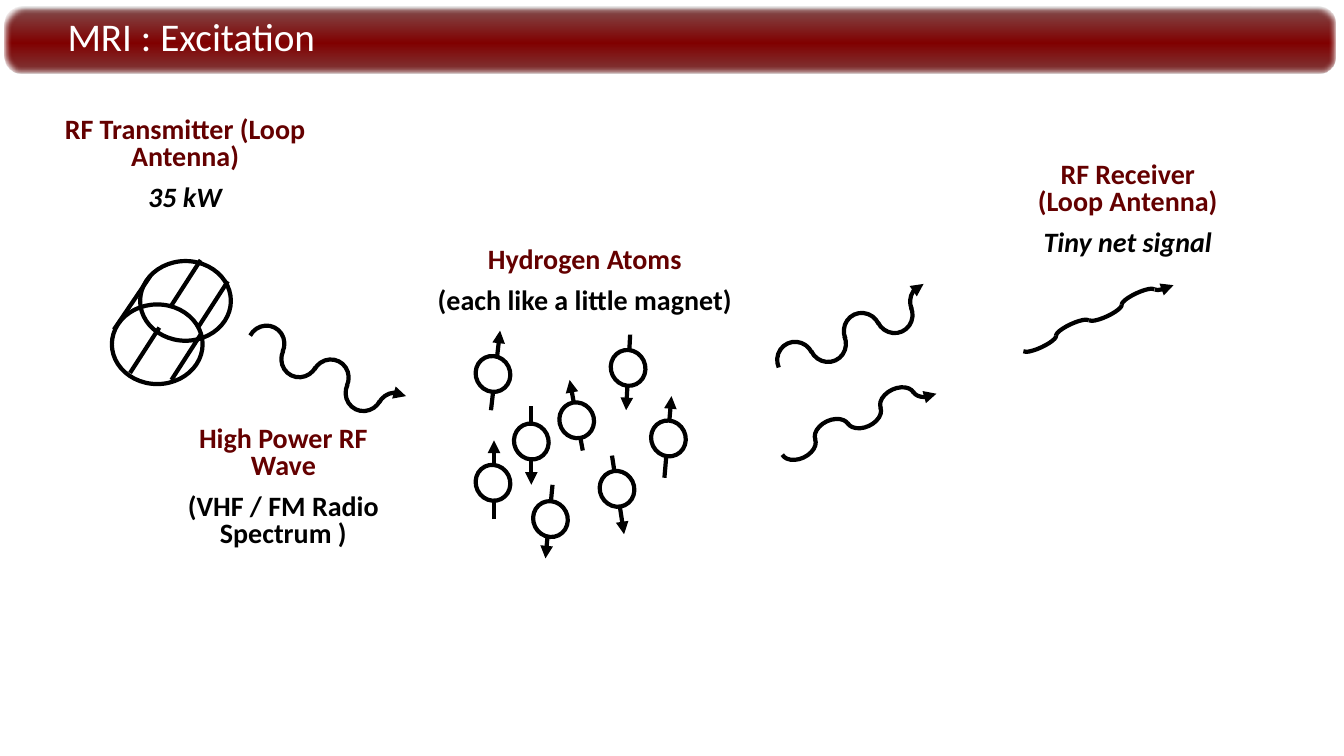
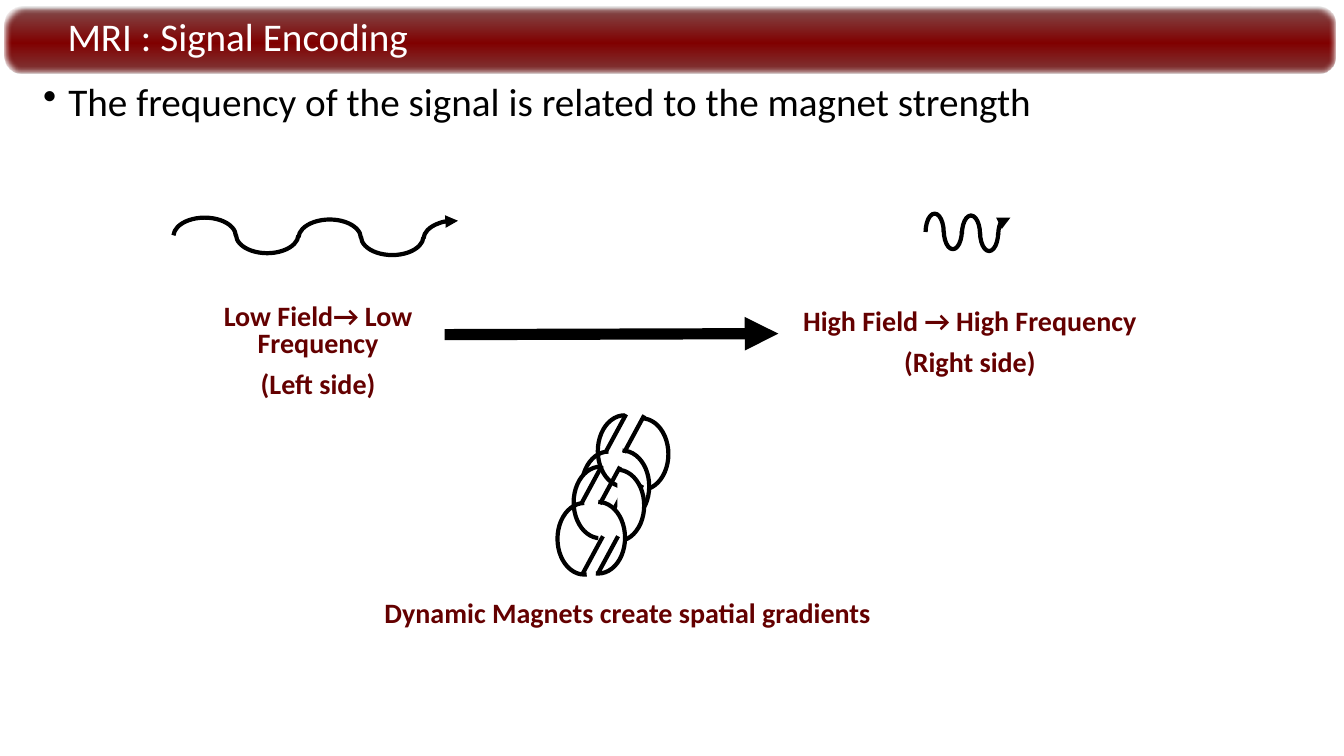
from math import cos, radians, sin

from lxml import etree
from pptx import Presentation
from pptx.dml.color import RGBColor
from pptx.enum import shapes, text
from pptx.oxml import ns, parse_xml
from pptx.util import Inches, Pt

FONT = "Calibri"
BLACK, WHITE, MAROON = "000000", "FFFFFF", "640000"
# position %, colour, opacity %
BAND_STOPS = [(0, "808080", 50), (5, "814949", 100), (54, "800000", 100),
              (96, "7F3838", 100), (100, "7F6060", 100), (100, "808080", 50)]
ARC_START, ARC_END, LAST_ARC_END = 181.76, 359.3, 279.88


def rgb(value):
    return RGBColor.from_string(value)


def add_xml(parent, tag, **attributes):
    return etree.SubElement(parent, ns.qn(tag), attributes)


def style_line(sp, width=3, arrow=False):
    sp.line.width = Pt(width)
    sp.line.color.rgb = rgb(BLACK)
    if arrow:
        add_xml(sp.line._get_or_add_ln(), "a:tailEnd", type="triangle")


def add_line(s, x1, y1, x2, y2, width=3, arrow=False):
    line = s.shapes.add_connector(shapes.MSO_CONNECTOR.STRAIGHT,
                                  *map(Inches, (x1, y1, x2, y2)))
    style_line(line, width, arrow)
    add_xml(line._element.spPr, "a:effectLst")


def add_outline(s, kind, x, y, w, h, fill=None, arrow=False):
    sp = s.shapes.add_shape(kind, *map(Inches, (x, y, w, h)))
    sp.shadow.inherit = False
    if fill:
        sp.fill.solid()
        sp.fill.fore_color.rgb = rgb(fill)
    else:
        sp.fill.background()
    style_line(sp, arrow=arrow)
    return sp


def add_arc(s, x, y, w, h, start, end, **options):
    """Draw an arc clockwise between two angles in degrees."""
    sp = add_outline(s, shapes.MSO_SHAPE.ARC, x, y, w, h, **options)
    for i, angle in enumerate((start, end)):
        sp.adjustments[i] = angle * 0.6
    return sp


def add_text(s, x, y, w, h, lines, size, spacing, bold=False, align=None):
    """Add a text box; each line is (text, colour, italic)."""
    box = s.shapes.add_textbox(*map(Inches, (x, y, w, h)))
    tf = box.text_frame
    tf.word_wrap = True
    for i, (words, color, italic) in enumerate(lines):
        p = tf.add_paragraph() if i else tf.paragraphs[0]
        p.text = words
        p.alignment = align
        p.line_spacing = spacing
        p.space_before = Pt(10)
        p.font.name, p.font.size = FONT, Pt(size)
        p.font.bold, p.font.italic = bold, italic
        p.font.color.rgb = rgb(color)
    return tf


def add_caption(s, x, y, w, h, heading, detail=None, color=BLACK, italic=False):
    lines = [(heading, MAROON, False)]
    if detail:
        lines.append((detail, color, italic))
    add_text(s, x, y, w, h, lines, 20, 0.8, bold=True,
             align=text.PP_ALIGN.CENTER)


def add_band(s, x, y, w, h):
    band = s.shapes.add_shape(shapes.MSO_SHAPE.ROUNDED_RECTANGLE,
                              *map(Inches, (x, y, w, h)))
    band.adjustments[0] = 0.27
    band.line.fill.background()
    band.shadow.inherit = False
    spPr = band._element.spPr
    add_xml(spPr.find(ns.qn("a:effectLst")), "a:softEdge", rad=str(Pt(2.5)))
    grad = parse_xml(f"<a:gradFill {ns.nsdecls('a')}/>")
    stops = add_xml(grad, "a:gsLst")
    for position, color, opacity in BAND_STOPS:
        stop = add_xml(stops, "a:gs", pos=str(position * 1000))
        clr = add_xml(stop, "a:srgbClr", val=color)
        if opacity < 100:
            add_xml(clr, "a:alpha", val=str(opacity * 1000))
    add_xml(grad, "a:lin", ang=str(90 * 60000), scaled="0")
    spPr.find(ns.qn("a:prstGeom")).addnext(grad)


def new_slide(prs, title):
    s = prs.slides.add_slide(prs.slide_layouts[6])
    add_band(s, 0.05, 0.07, 13.2, 0.66)
    tf = add_text(s, 0.67, 0.11, 12.43, 0.55, [(title, WHITE, False)], 28, 0.9)
    tf.vertical_anchor = text.MSO_ANCHOR.MIDDLE
    tf.margin_left = tf.margin_right = tf.margin_top = tf.margin_bottom = 0
    return s


def add_wave(s, x, y, w, h, angle=0, flip=False):
    """Chain five half-wave arcs along an angle, ending in an arrowhead."""
    turn = radians(angle)
    for i, sag in enumerate((0, -1, 1, 0, 1.6)):
        drop = sag * h * 0.05 * (-1 if flip else 1)
        last = i == 4
        arc = add_arc(s, x + i * w * cos(turn) - drop * sin(turn),
                      y + i * w * sin(turn) + drop * cos(turn), w, h,
                      ARC_START, LAST_ARC_END if last else ARC_END, arrow=last)
        arc.rotation = (angle + 180 * (i % 2)) % 360
        if flip:
            arc._element.spPr.find(ns.qn("a:xfrm")).set("flipV", "1")


def add_loop_antenna(s, x, y):
    for dx, dy in ((0.28, 0.01), (0, 0.44)):
        add_outline(s, shapes.MSO_SHAPE.OVAL, x + dx, y + dy, 0.9, 0.79)
    add_line(s, x + 0.02, y + 0.69, x + 0.38, y + 0.16)
    for dx, dy in ((0.18, 1.12), (0.59, 0.45), (0.86, 0.66), (0.59, 1.19)):
        add_line(s, x + dx, y + dy, x + dx + 0.29, y + dy - 0.45)


def add_atoms(s, x, y):
    """Scatter spinning atoms: spin from and to, then the atom's corner."""
    atoms = [
        (0.15, 0.79, 0.24, 0, 0, 0.25),
        (0.18, 1.87, 0.18, 1.09, 0, 1.33),
        (1.87, 1.46, 1.94, 0.65, 1.74, 0.89),
        (1.06, 1.19, 0.93, 0.49, 0.83, 0.71),
        (0.76, 1.53, 0.69, 2.26, 0.57, 1.69),
        (0.55, 0.75, 0.55, 1.53, 0.38, 0.92),
        (1.35, 1.24, 1.47, 2.02, 1.23, 1.39),
        (1.53, 0.04, 1.49, 0.79, 1.34, 0.19),
    ]
    for x1, y1, x2, y2, left, top in atoms:
        add_line(s, x + x1, y + y1, x + x2, y + y2, arrow=True)
        atom = add_outline(s, shapes.MSO_SHAPE.OVAL, x + left, y + top,
                           0.34, 0.36, fill=WHITE)
        atom.rotation = 333.8


def add_gradient_coil(s, x, y):
    """Draw one dynamic magnet: two split rings joined by slanted bars."""
    def half_ring(dx, dy, left, fill=WHITE):
        start, end = (86, 270) if left else (270, 94)
        add_arc(s, x + dx, y + dy, 0.53, 0.71, start, end, fill=fill)

    def bar(dx, dy):
        add_line(s, x + dx, y + dy, x + dx + 0.2, y + dy - 0.37)

    half_ring(0.16, 0, True)
    half_ring(0.33, 0.03, False)
    half_ring(0.14, 0.35, False)
    bar(0.24, 0.36)
    half_ring(0, 0.36, True, fill=None)
    for dx, dy in ((0.42, 0.37), (0.25, 1.06), (0.4, 1.06)):
        bar(dx, dy)


def build_excitation(prs):
    s = new_slide(prs, "MRI : Excitation")
    add_caption(s, 4.23, 2.41, 3.14, 0.81, "Hydrogen Atoms",
                "(each like a little magnet)")
    add_atoms(s, 4.72, 3.28)
    add_caption(s, 0.29, 1.12, 3.09, 1.08, "RF Transmitter (Loop Antenna)",
                "35 kW", italic=True)
    add_loop_antenna(s, 1.11, 2.58)
    add_wave(s, 2.46, 3.23, 0.36, 0.37, 26.3)
    add_caption(s, 1.57, 4.19, 2.48, 1.35, "High Power RF Wave",
                "(VHF / FM Radio Spectrum )")
    add_caption(s, 10.13, 1.57, 2.11, 1.08, "RF Receiver (Loop Antenna)",
                "Tiny net signal", italic=True)
    add_wave(s, 10.13, 3.36, 0.36, 0.09, -24.9, flip=True)
    add_wave(s, 7.71, 3.39, 0.36, 0.37, -24.9)
    add_wave(s, 7.74, 4.31, 0.36, 0.24, -24.9, flip=True)


def build_signal_encoding(prs):
    s = new_slide(prs, "MRI : Signal Encoding")
    tf = add_text(s, 0.33, 0.77, 12.33, 6.5, [
        ("The frequency of the signal is related to the magnet strength",
         BLACK, False)], 28, 0.9)
    pPr = tf.paragraphs[0]._p.get_or_add_pPr()
    pPr.set("marL", str(Inches(0.25)))
    pPr.set("indent", str(-Inches(0.25)))
    bullet = parse_xml(f'<a:buChar {ns.nsdecls("a")} char="•"/>')
    pPr.find(ns.qn("a:spcBef")).addnext(bullet)
    add_wave(s, 1.72, 2.16, 0.62, 0.37)
    add_wave(s, 9.18, 2.12, 0.18, 0.37)
    add_caption(s, 1.72, 2.98, 2.87, 1.08, "Low Field→ Low Frequency",
                "(Left side)", MAROON)
    add_caption(s, 7.84, 3.03, 3.56, 0.81, "High Field → High Frequency",
                "(Right side)", MAROON)
    for i in range(2):
        add_gradient_coil(s, 5.77 - 0.24 * i, 4.12 + 0.51 * i)
    add_caption(s, 3.63, 5.92, 5.19, 0.37,
                "Dynamic Magnets create spatial gradients")
    add_line(s, 4.41, 3.32, 7.72, 3.31, width=8, arrow=True)


def main():
    prs = Presentation()
    prs.slide_width, prs.slide_height = Inches(13.33), Inches(7.5)
    build_excitation(prs)
    build_signal_encoding(prs)
    prs.save("out.pptx")


if __name__ == "__main__":
    main()
